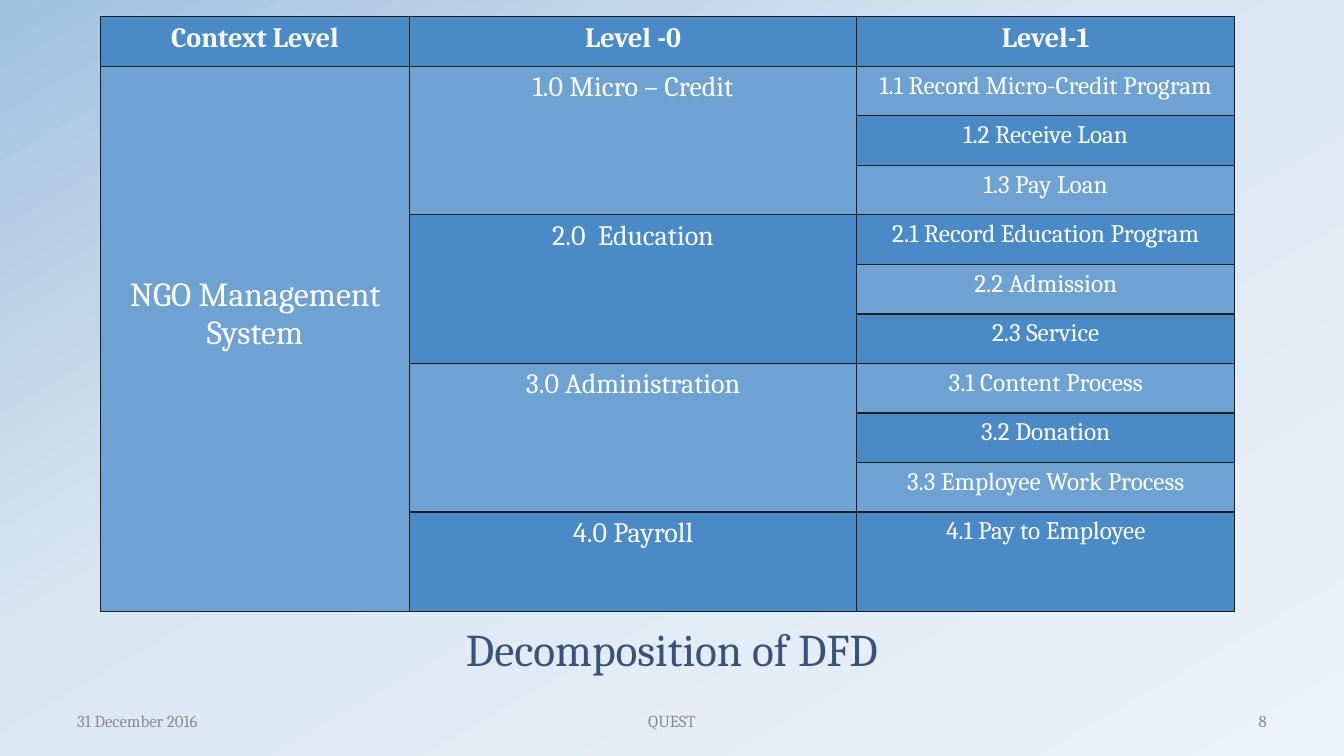
from copy import deepcopy
from dataclasses import dataclass

from lxml import etree
from pptx import Presentation
from pptx.dml.color import RGBColor
from pptx.enum.text import MSO_ANCHOR, PP_ALIGN
from pptx.oxml.ns import qn
from pptx.util import Pt

LEFT, MID, RIGHT = PP_ALIGN.LEFT, PP_ALIGN.CENTER, PP_ALIGN.RIGHT
TOP, CENTRE, BOTTOM = MSO_ANCHOR.TOP, MSO_ANCHOR.MIDDLE, MSO_ANCHOR.BOTTOM


@dataclass(frozen=True)
class Theme:
    font: str = "Cambria"
    white: str = "FFFFFF"
    title: str = "39527B"
    grey: str = "8C8C8C"
    line: str = "202020"
    dark: str = "4A8BC7"
    light: str = "6EA2D3"
    back: tuple = ((0, "ECF3F8"), (0.58, "D9E6F2"), (1, "A1C1DE"))
    title_size: float = 32.4
    system_size: int = 24
    head_size: int = 20
    item_size: int = 18
    foot_size: int = 12


THEME = Theme()
HEADS = ("Context Level", "Level -0", "Level-1")
SYSTEM = "NGO Management System"
GROUPS = (
    ("1.0 Micro – Credit",
     ("1.1 Record Micro-Credit Program", "1.2 Receive Loan", "1.3 Pay Loan")),
    ("2.0  Education",
     ("2.1 Record Education Program", "2.2 Admission", "2.3 Service")),
    ("3.0 Administration",
     ("3.1 Content Process", "3.2 Donation", "3.3 Employee Work Process")),
    ("4.0 Payroll", ("4.1 Pay to Employee",)),
)
COLS = (220.5, 319.5, 270)
ROW = 35.4


def rgb(code):
    return RGBColor.from_string(code)


def style(para, size, color, align, bold=False):
    para.alignment = align
    font = para.font
    font.name, font.size, font.bold = THEME.font, Pt(size), bold
    font.color.rgb = rgb(color)


def paint_back(slide):
    fill = slide.background.fill
    fill.gradient()
    fill.gradient_angle = 120
    stops = next(slide.element.iter(qn("a:gsLst")))
    stops.append(deepcopy(stops[0]))
    for stop, (place, color) in zip(fill.gradient_stops, THEME.back):
        stop.position = place
        stop.color.rgb = rgb(color)


def add_label(slide, box, text, size, color, align, anchor):
    frame = slide.shapes.add_textbox(*map(Pt, box)).text_frame
    frame.word_wrap = True
    frame.vertical_anchor = anchor
    para = frame.paragraphs[0]
    para.text = text
    style(para, size, color, align)
    return para


def add_border(cell):
    props = cell._tc.get_or_add_tcPr()
    for side in ("lnL", "lnR", "lnT", "lnB"):
        line = etree.SubElement(props, qn(f"a:{side}"), w=str(Pt(1)))
        fill = etree.SubElement(line, qn("a:solidFill"))
        etree.SubElement(fill, qn("a:srgbClr"), val=THEME.line)


def fill_cell(cell, text, size, color, bold=False):
    cell.fill.solid()
    cell.fill.fore_color.rgb = rgb(color)
    para = cell.text_frame.paragraphs[0]
    para.text = text
    style(para, size, THEME.white, MID, bold)


def add_levels(slide, left, top):
    """Table of the system, its processes and their steps."""
    count = 1 + sum(len(steps) for _, steps in GROUPS)
    table = slide.shapes.add_table(
        count, len(COLS), Pt(left), Pt(top),
        Pt(sum(COLS)), Pt(ROW * (count + 1))).table
    for col, width in zip(table.columns, COLS):
        col.width = Pt(width)
    for row in table.rows:
        row.height = Pt(ROW)
    table.rows[count - 1].height = Pt(2 * ROW)
    for cell in table.iter_cells():
        add_border(cell)

    for col, head in enumerate(HEADS):
        fill_cell(table.cell(0, col), head, THEME.head_size, THEME.dark, True)

    system = table.cell(1, 0)
    system.merge(table.cell(count - 1, 0))
    fill_cell(system, SYSTEM, THEME.system_size, THEME.light)
    system.vertical_anchor = CENTRE
    system.margin_bottom = Pt(38)

    first = 1
    for name, steps in GROUPS:
        for row, step in enumerate(steps, first):
            band = THEME.light if row % 2 else THEME.dark
            fill_cell(table.cell(row, 2), step, THEME.item_size, band)
        group = table.cell(first, 1)
        if len(steps) > 1:
            group.merge(table.cell(first + len(steps) - 1, 1))
        band = THEME.light if first % 2 else THEME.dark
        fill_cell(group, name, THEME.head_size, band)
        first += len(steps)


def add_title(slide, box):
    para = add_label(slide, box, "Decomposition of DFD", THEME.title_size,
                     THEME.title, MID, BOTTOM)
    para.line_spacing = 0.8


def add_footer(slide, left, top, width, height):
    side, mid = 224, 304
    parts = (
        ("31 December 2016", left, side, LEFT),
        ("QUEST", left + (width - mid) / 2, mid, MID),
        ("8", left + width - side, side, RIGHT),
    )
    for text, x, wide, align in parts:
        add_label(slide, (x, top, wide, height), text, THEME.foot_size,
                  THEME.grey, align, CENTRE)


def main():
    deck = Presentation()
    deck.slide_width, deck.slide_height = Pt(960), Pt(540)
    slide = deck.slides.add_slide(deck.slide_layouts[6])
    paint_back(slide)
    add_title(slide, (48, 451.5, 864, 34.5))
    add_levels(slide, 72, 12)
    add_footer(slide, 48, 500.5, 864, 28.75)
    deck.save("out.pptx")


if __name__ == "__main__":
    main()
